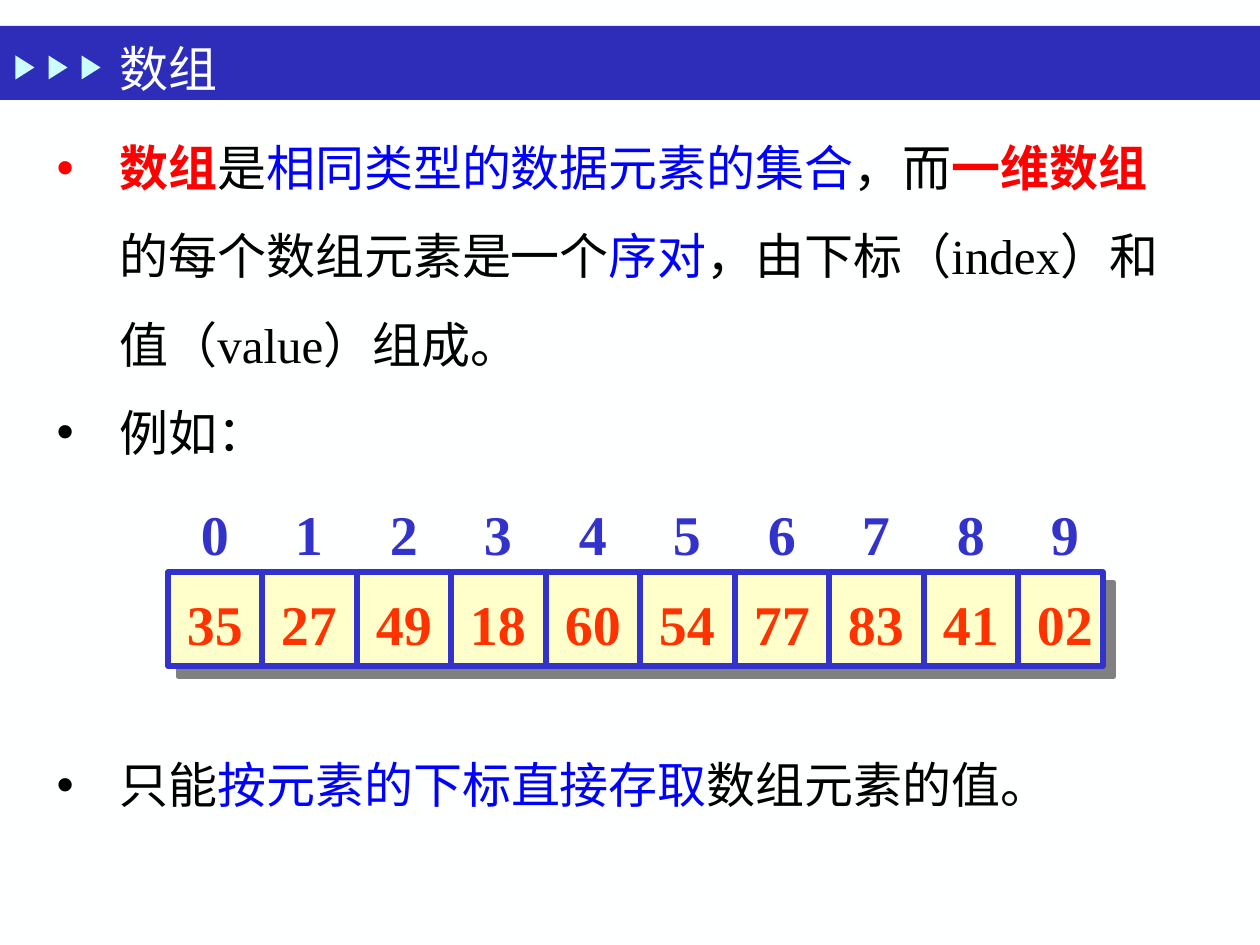
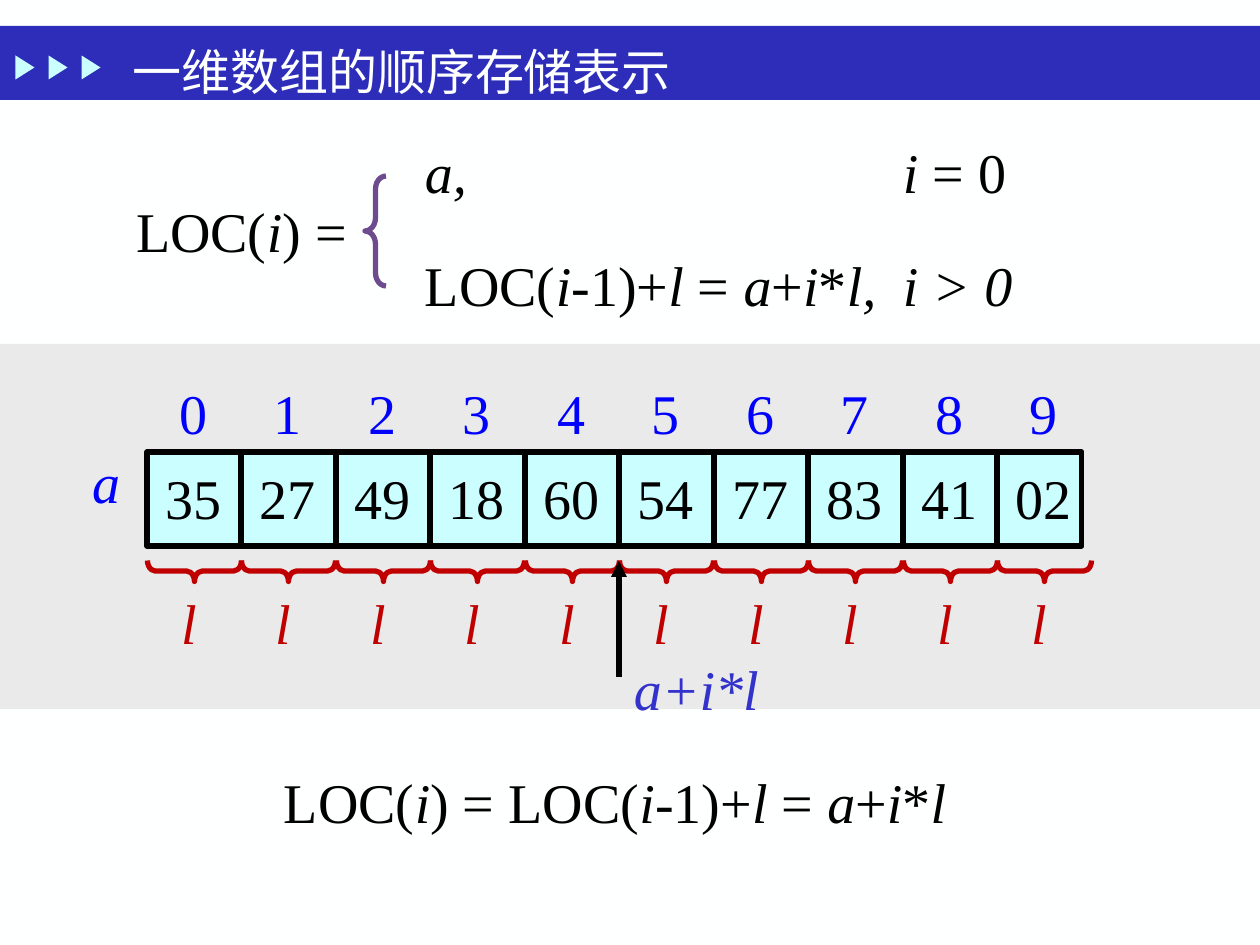
from dataclasses import dataclass

from lxml import etree
from pptx import Presentation
from pptx.dml.color import RGBColor
from pptx.enum.shapes import MSO_CONNECTOR, MSO_SHAPE
from pptx.enum.text import MSO_ANCHOR, MSO_AUTO_SIZE, PP_ALIGN
from pptx.oxml.ns import qn
from pptx.util import Emu, Pt

RECT, TRIANGLE, BRACE = MSO_SHAPE.RECTANGLE, MSO_SHAPE.ISOSCELES_TRIANGLE, MSO_SHAPE.LEFT_BRACE
STRAIGHT = MSO_CONNECTOR.STRAIGHT
LEFT, MIDDLE, TOP, NO_FIT = PP_ALIGN.LEFT, MSO_ANCHOR.MIDDLE, MSO_ANCHOR.TOP, MSO_AUTO_SIZE.NONE

EMU_PER_PX = 914400 / 126
SLIDE_W, SLIDE_H = 1260, 945
TEXT_H = 81
CELLS, FRAME_W, FRAME_H = 10, 935, 94
VALUES = ["35", "27", "49", "18", "60", "54", "77", "83", "41", "02"]
INDEXES = [str(n) for n in range(CELLS)]


@dataclass(frozen=True)
class Theme:
    font: str = "Times New Roman"
    body_size: int = 28
    math_size: int = 32
    line_width: int = 3
    paper: str = "FEFFFF"
    band: str = "2D2DB9"
    mint: str = "CBFFFF"
    ink: str = "000000"
    key: str = "FF0000"
    blue: str = "0000FF"
    indigo: str = "3333CC"
    cream: str = "FFFFCC"
    orange: str = "FF3300"
    gray: str = "EAEAEA"
    shadow: str = "808080"
    crimson: str = "C00000"
    violet: str = "6C4C8F"


T = Theme()


def px(n):
    return Emu(round(n * EMU_PER_PX))


def rgb(color):
    return RGBColor.from_string(color)


def cell_offset(n):
    """Left edge of cell n: cells are 94.5 px wide."""
    return n * 189 // 2


class Deck:
    def __init__(self):
        self.prs = Presentation()
        self.prs.slide_width, self.prs.slide_height = px(SLIDE_W), px(SLIDE_H)
        self.s = None

    def new_slide(self, layout):
        self.s = self.prs.slides.add_slide(self.prs.slide_layouts[layout])

    def share_with_all(self, shapes):
        """Move shapes from the current slide to the back of the master."""
        master = self.prs.slide_master
        first = master.shapes[0].element
        for number, sp in enumerate(shapes, 100):
            sp.element.find(".//" + qn("p:cNvPr")).set("id", str(number))
            first.addprevious(sp.element)
        master.background.fill.solid()
        master.background.fill.fore_color.rgb = rgb(T.paper)

    # Text
    def run(self, p, text, color, size, bold=False, italic=False):
        r = p.add_run()
        r.text = text
        f = r.font
        f.name, f.size, f.bold, f.italic = T.font, Pt(size), bold, italic
        f.color.rgb = rgb(color)

    def placeholder(self, sp, x, y, w, h, anchor):
        sp.left, sp.top, sp.width, sp.height = px(x), px(y), px(w), px(h)
        tf = sp.text_frame
        tf.word_wrap, tf.auto_size, tf.vertical_anchor = True, NO_FIT, anchor
        return tf

    def title(self, text, x, y, w, h):
        p = self.placeholder(self.s.shapes.title, x, y, w, h, MIDDLE).paragraphs[0]
        p.alignment = LEFT
        self.run(p, text, T.paper, T.body_size)

    def bullets(self, items, x, y, w, h, indent):
        """items: (space before in points, [(text, color, bold), ...])"""
        tf = self.placeholder(self.s.placeholders[1], x, y, w, h, TOP)
        for n, (space, runs) in enumerate(items):
            p = tf.add_paragraph() if n else tf.paragraphs[0]
            p.line_spacing, p.space_before = 1.5, Pt(space)
            pPr = p._p.get_or_add_pPr()
            pPr.set("marL", str(px(indent)))
            pPr.set("indent", str(px(-indent)))
            for text, color, bold in runs:
                self.run(p, text, color, T.body_size, bold=bold)

    def text(self, markup, x, y, w, color=T.ink, bold=False, tabs=(), tab_align="l", inset=13):
        """Parts between underscores are italic; tabs are px from the text edge."""
        tf = self.s.shapes.add_textbox(px(x), px(y), px(w), px(TEXT_H)).text_frame
        tf.word_wrap, tf.margin_left = True, px(inset)
        p = tf.paragraphs[0]
        if tabs:
            tab_list = etree.SubElement(p._p.get_or_add_pPr(), qn("a:tabLst"))
            for pos in tabs:
                etree.SubElement(tab_list, qn("a:tab"), pos=str(px(pos)), algn=tab_align)
        for n, part in enumerate(markup.split("_")):
            if part:
                self.run(p, part, color, T.math_size, bold=bold, italic=n % 2 == 1)

    def row(self, labels, x, y, color, bold=False):
        """One line of labels, each centred on its cell."""
        centres = [cell_offset(n) + 47 for n in range(CELLS)]
        self.text("".join("\t" + label for label in labels), x, y, cell_offset(CELLS),
                  color, bold, centres, "ctr", 0)

    # Shapes
    def shape(self, kind, x, y, w, h, fill=None, line=None, rotation=0):
        sp = self.s.shapes.add_shape(kind, px(x), px(y), px(w), px(h))
        sp.shadow.inherit = False
        sp.rotation = rotation
        if fill:
            sp.fill.solid()
            sp.fill.fore_color.rgb = rgb(fill)
        else:
            sp.fill.background()
        if line:
            sp.line.color.rgb, sp.line.width = rgb(line), Pt(T.line_width)
        else:
            sp.line.fill.background()
        return sp

    def brace(self, x, y, w, h, color, curl, rotation=0):
        sp = self.shape(BRACE, x, y, w, h, line=color, rotation=rotation)
        sp.adjustments[0], sp.adjustments[1] = curl, 0.5

    def hard_shadow(self, sp):
        effects = sp.element.spPr.find(qn("a:effectLst"))
        shadow = etree.SubElement(effects, qn("a:outerShdw"), dist=str(Pt(8.5)),
                                  dir="2700000", algn="ctr", rotWithShape="0")
        etree.SubElement(shadow, qn("a:srgbClr"), val=T.shadow)

    def line(self, x1, y1, x2, y2, color, arrow=False):
        c = self.s.shapes.add_connector(STRAIGHT, px(x1), px(y1), px(x2), px(y2))
        c.line.color.rgb, c.line.width = rgb(color), Pt(T.line_width)
        if arrow:
            etree.SubElement(c.line._get_or_add_ln(), qn("a:tailEnd"), type="triangle")
        etree.SubElement(c.element.spPr, qn("a:effectLst"))

    def array_frame(self, x, y, fill, line):
        frame = self.shape(RECT, x, y, FRAME_W, FRAME_H, fill, line)
        for n in range(1, CELLS):
            edge = x + cell_offset(n)
            self.line(edge, y, edge, y + FRAME_H, line)
        return frame


def header_band(d):
    band = d.shape(RECT, 0, 26, SLIDE_W, 74, T.band)
    marks = [d.shape(TRIANGLE, 13 + 33 * n, 58, 24, 19, T.mint, rotation=90) for n in range(3)]
    d.share_with_all([band, *marks])


def array_slide(d):
    d.new_slide(1)
    header_band(d)
    d.title("数组", 107, 21, 805, 94)
    d.bullets([
        (0, [("数组", T.key, True), ("是", T.ink, False),
             ("相同类型的数据元素的集合", T.blue, False), ("，而", T.ink, False),
             ("一维数组", T.key, True), ("的每个数组元素是一个", T.ink, False),
             ("序对", T.blue, False),
             ("，由下标（index）和值（value）组成。", T.ink, False)]),
        (0, [("例如：", T.ink, False)]),
        (151, [("只能", T.ink, False), ("按元素的下标直接存取", T.blue, False),
               ("数组元素的值。", T.ink, False)]),
    ], 44, 102, 1160, 714, indent=63)

    # Example array
    x, y = 168, 572
    d.hard_shadow(d.array_frame(x, y, T.cream, T.indigo))
    d.row(VALUES, x, y + 11, T.orange, bold=True)
    d.row(INDEXES, x, y - 79, T.indigo, bold=True)


def storage_slide(d):
    d.new_slide(5)
    d.title("一维数组的顺序存储表示", 120, 35, 610, 71)

    # Definition by cases
    case_tab = [478]
    d.text("LOC(_i_) =", 123, 190, 245)
    d.brace(365, 176, 21, 110, T.violet, 0.625)
    d.text("_a,_\t_i _= 0", 412, 131, 680, tabs=case_tab)
    d.text("LOC(_i_-1)+_l_ = _a_+_i_*_l,\ti > 0_", 412, 244, 725, tabs=case_tab)

    # Array in memory
    x, y = 147, 452
    d.shape(RECT, 0, 344, SLIDE_W, 365, T.gray)
    d.array_frame(x, y, T.mint, T.ink)
    d.row(VALUES, x, y + 5, T.ink)
    d.row(INDEXES, x, y - 80, T.blue)
    d.text("_a_", 79, 441, 54, T.blue)

    # Element lengths and address
    for n in range(CELLS):
        d.brace(x + cell_offset(n) + 37, y + 72, 21, 94, T.crimson, 0.375, rotation=270)
    d.row(["_l_"] * CELLS, x - 5, y + 130, T.crimson)
    d.line(619, 677, 619, 561, T.ink, arrow=True)
    d.text("_a+i*l_", 621, 648, 165, T.indigo)

    d.text("LOC(_i_) = LOC(_i_-1)+_l_ = _a_+_i_*_l_", 271, 761, 704)


def main():
    d = Deck()
    array_slide(d)
    storage_slide(d)
    d.prs.save("out.pptx")


if __name__ == "__main__":
    main()
